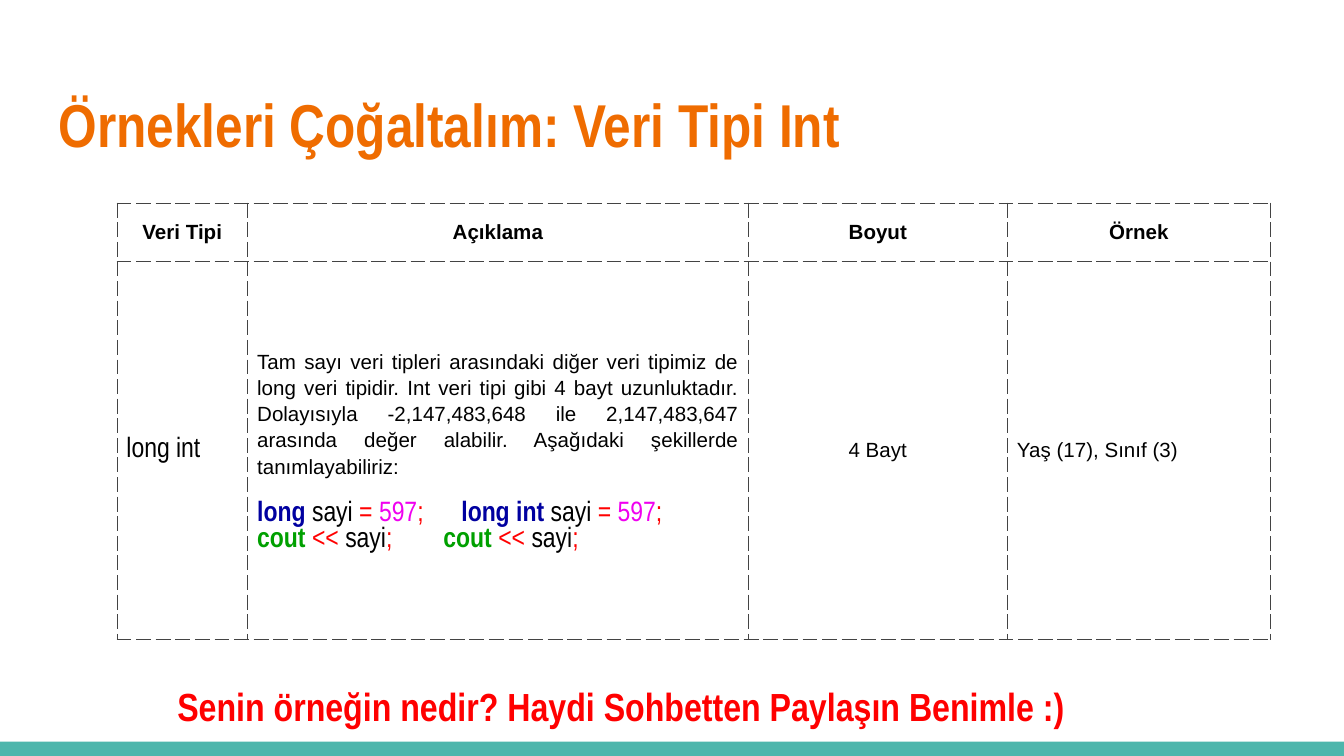
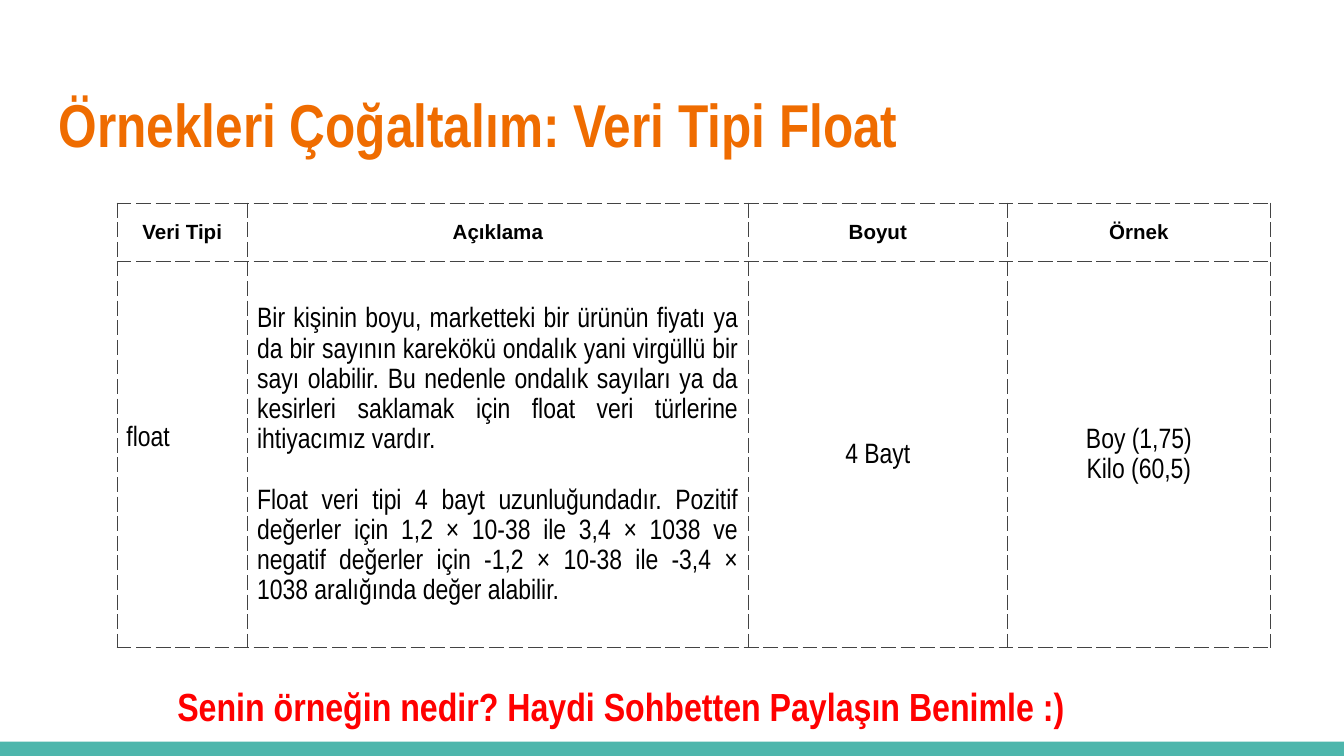
from dataclasses import dataclass
from lxml.etree import SubElement
from pptx import Presentation
from pptx.dml.color import RGBColor
from pptx.enum.shapes import MSO_SHAPE
from pptx.enum.text import MSO_ANCHOR, PP_ALIGN
from pptx.oxml.ns import qn
from pptx.util import Cm, Pt


@dataclass(frozen=True)
class Theme:
    band: str = "4DB6AC"
    edge: str = "434343"
    wide: str = "Arial"
    slim: str = "Arial Narrow"


@dataclass(frozen=True)
class Style:
    font: str
    size: float
    color: str = "000000"
    bold: bool = False


@dataclass(frozen=True)
class Para:
    runs: list
    align: str = "left"
    line: float = 1.0
    gap: float = 0
    tab: float = 0


theme = Theme()
STYLES = {
    "title": Style(theme.slim, 32.4, "EF6C00", True),
    "call": Style(theme.slim, 21, "FF0000", True),
    "head": Style(theme.wide, 11, bold=True),
    "small": Style(theme.wide, 11),
    "text": Style(theme.slim, 15),
    "type": Style(theme.slim, 15, "0000A0", True),
    "cout": Style(theme.slim, 15, "00A000", True),
    "sign": Style(theme.slim, 15, "FF0000"),
    "value": Style(theme.slim, 15, "F000F0"),
}
ALIGNS = {"left": PP_ALIGN.LEFT, "mid": PP_ALIGN.CENTER, "full": PP_ALIGN.JUSTIFY}


def plain(text, style="text", align="mid", line=1.15, gap=0):
    return Para([(text, style)], align, line, gap)


SET = [("sayi ", "text"), ("= ", "sign"), ("597", "value")]
SHOW = [("cout ", "cout"), ("<< ", "sign"), ("sayi", "text")]
BREAK, END = (";\t", "sign"), (";", "sign")

HEADS = ["Veri Tipi", "Açıklama", "Boyut", "Örnek"]
CALL = "Senin örneğin nedir? Haydi Sohbetten Paylaşın Benimle :) "
SLIDES = [
    {
        "title": "Örnekleri Çoğaltalım: Veri Tipi Int",
        "height": 7.14,
        "foot": 0,
        "cells": [
            [plain("long int", align="full", line=1.0)],
            [
                plain("Tam sayı veri tipleri arasındaki diğer veri tipimiz de long veri "
                      "tipidir. Int veri tipi gibi 4 bayt uzunluktadır. Dolayısıyla "
                      "-2,147,483,648 ile 2,147,483,647 arasında değer alabilir. "
                      "Aşağıdaki şekillerde tanımlayabiliriz:", "small", "full"),
                Para([("long ", "type"), *SET, BREAK, ("long int ", "type"), *SET, END],
                     gap=12, tab=3.86),
                Para([*SHOW, BREAK, *SHOW, END], tab=3.52),
            ],
            [plain("4 Bayt", "small", line=1.0)],
            [plain("Yaş (17), Sınıf (3)", "small", "left", 1.0)],
        ],
    },
    {
        "title": "Örnekleri Çoğaltalım: Veri Tipi Float",
        "height": 7.3,
        "foot": 0.57,
        "cells": [
            [plain("float", align="full", line=1.0)],
            [
                plain("Bir kişinin boyu, marketteki bir ürünün fiyatı ya da bir sayının "
                      "karekökü ondalık yani virgüllü bir sayı olabilir. Bu nedenle "
                      "ondalık sayıları ya da kesirleri saklamak için float veri "
                      "türlerine ihtiyacımız vardır.", align="full"),
                plain("Float veri tipi 4 bayt uzunluğundadır. Pozitif değerler için "
                      "1,2 × 10-38 ile 3,4 × 1038 ve negatif değerler için -1,2 × 10-38 "
                      "ile -3,4 × 1038 aralığında değer alabilir.", align="full", gap=16.5),
            ],
            [plain("4 Bayt")],
            [plain("Boy (1,75)"), plain("Kilo (60,5)")],
        ],
    },
]

WIDE, HIGH = 25.4, 14.29
BAND = 0.27
COLS = [2.47, 9.46, 4.9, 4.97]
LEFT, TOP, HEAD = 2.21, 3.84, 1.1
PAD, INSET = 0.18, 0.25


def write(frame, paras):
    for spot, para in enumerate(paras):
        block = frame.add_paragraph() if spot else frame.paragraphs[0]
        block.alignment = ALIGNS[para.align]
        block.line_spacing = para.line
        block.space_before = Pt(para.gap)
        if para.tab:
            tabs = SubElement(block._p.get_or_add_pPr(), qn("a:tabLst"))
            SubElement(tabs, qn("a:tab"), pos=str(Cm(para.tab)), algn="l")
        for text, name in para.runs:
            style = STYLES[name]
            run = block.add_run()
            run.text = text
            run.font.name = style.font
            run.font.size = Pt(style.size)
            run.font.bold = style.bold
            run.font.color.rgb = RGBColor.from_string(style.color)


def add_text(slide, area, para, top, anchor):
    frame = slide.shapes.add_textbox(*map(Cm, area)).text_frame
    frame.word_wrap = True
    frame.vertical_anchor = anchor
    frame.margin_left = frame.margin_right = frame.margin_bottom = Cm(INSET)
    frame.margin_top = Cm(top)
    write(frame, [para])


def add_edges(cell):
    props = cell._tc.get_or_add_tcPr()
    for spot, side in enumerate("LRTB"):
        line = props.makeelement(qn(f"a:ln{side}"), {"w": str(Pt(0.5))})
        fill = SubElement(line, qn("a:solidFill"))
        SubElement(fill, qn("a:srgbClr"), val=theme.edge)
        SubElement(line, qn("a:prstDash"), val="dash")
        props.insert(spot, line)


def add_grid(slide, data):
    rows = [[[plain(head, "head", line=1.0)] for head in HEADS], data["cells"]]
    sizes = [HEAD, data["height"]]
    area = (LEFT, TOP, sum(COLS), sum(sizes))
    table = slide.shapes.add_table(len(rows), len(COLS), *map(Cm, area)).table
    table.first_row = table.horz_banding = False
    for col, width in zip(table.columns, COLS):
        col.width = Cm(width)
    for row, size, cells in zip(table.rows, sizes, rows):
        row.height = Cm(size)
        for cell, paras in zip(row.cells, cells):
            cell.fill.background()
            cell.vertical_anchor = MSO_ANCHOR.MIDDLE
            cell.margin_left = cell.margin_right = Cm(PAD)
            cell.margin_top = cell.margin_bottom = 0
            write(cell.text_frame, paras)
            add_edges(cell)
    table.cell(1, 0).margin_bottom = Cm(data["foot"])


def add_band(slide):
    area = (0, HIGH - BAND, WIDE, BAND)
    band = slide.shapes.add_shape(MSO_SHAPE.RECTANGLE, *map(Cm, area))
    band.shadow.inherit = False
    band.fill.solid()
    band.fill.fore_color.rgb = RGBColor.from_string(theme.band)
    band.line.fill.background()


def main():
    deck = Presentation()
    deck.slide_width, deck.slide_height = Cm(WIDE), Cm(HIGH)
    for data in SLIDES:
        slide = deck.slides.add_slide(deck.slide_layouts[6])
        add_band(slide)
        add_text(slide, (0.86, 1.24, 23.67, 1.96),
                 plain(data["title"], "title", "left", 1.0), 0.48, MSO_ANCHOR.MIDDLE)
        add_text(slide, (1.98, 11.76, 19.69, 2.95),
                 plain(CALL, "call"), 1.25, MSO_ANCHOR.TOP)
        add_grid(slide, data)
    deck.save("out.pptx")


if __name__ == "__main__":
    main()
